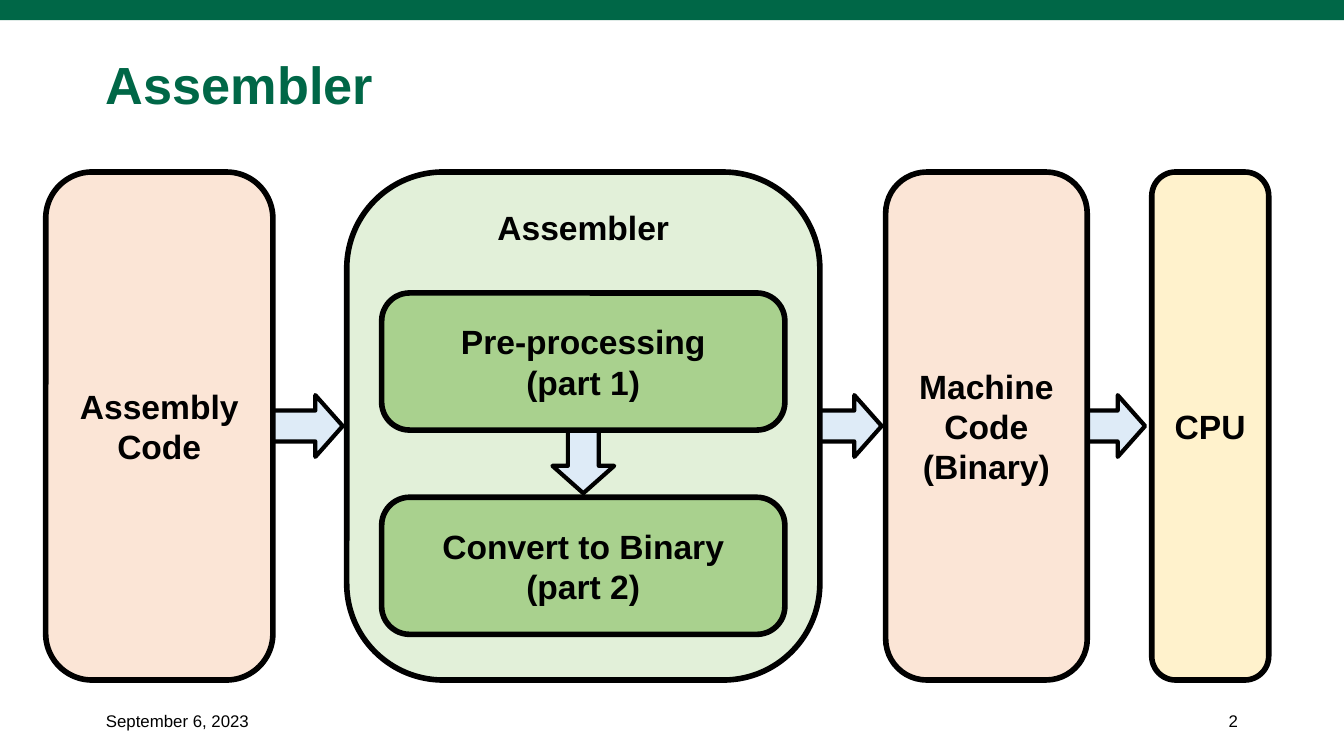
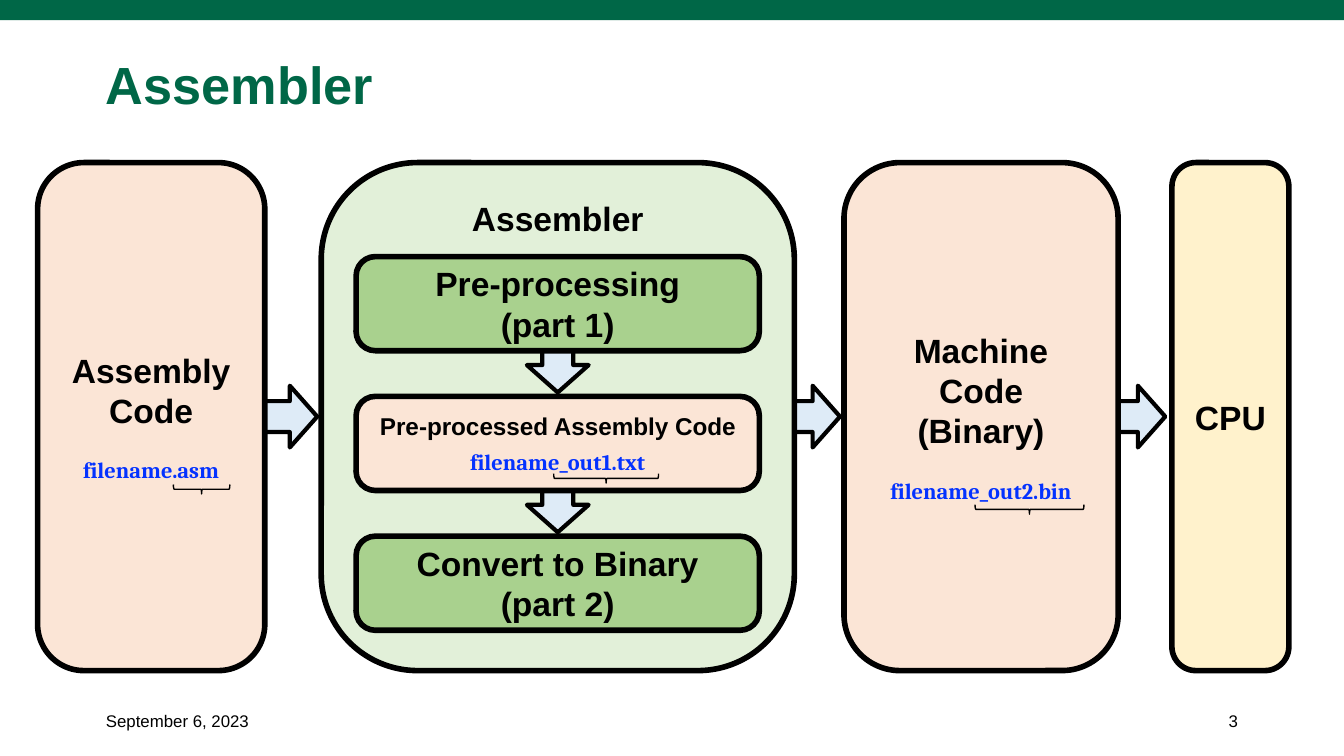
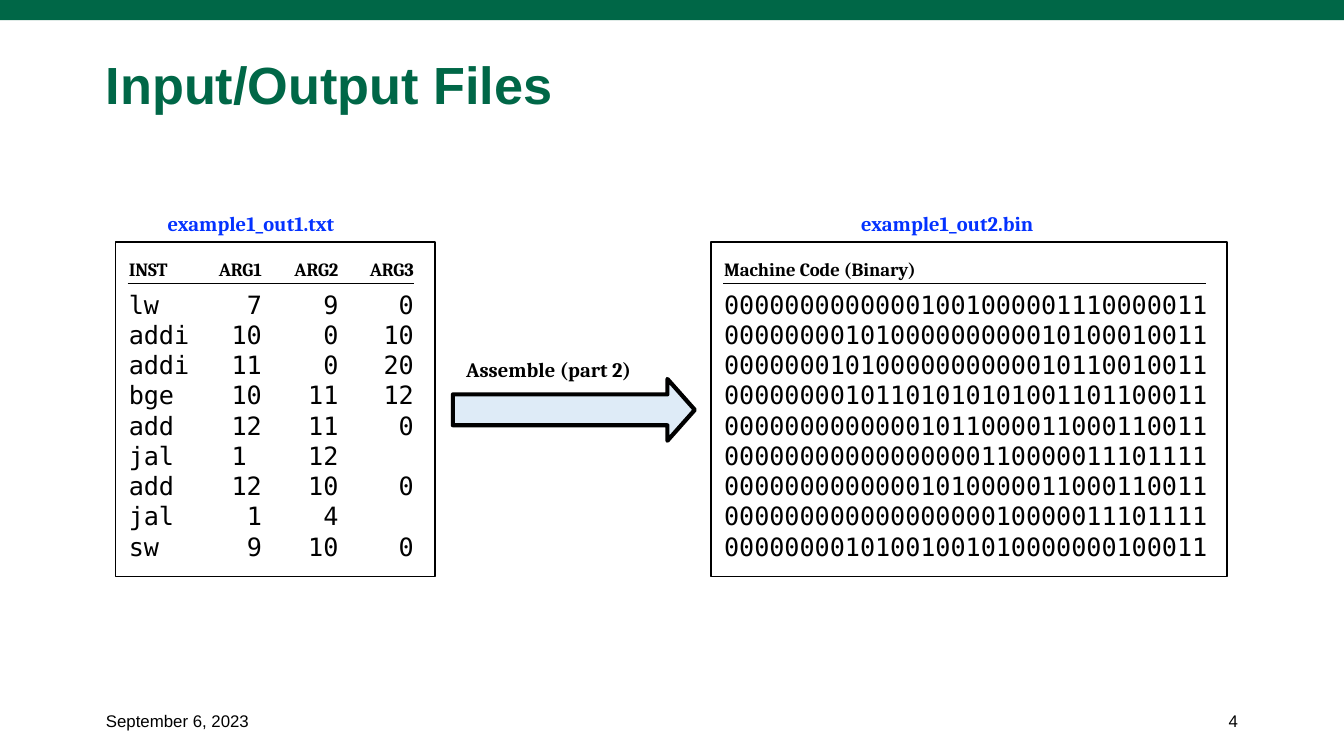
from dataclasses import dataclass
from typing import Optional

from lxml import etree
from pptx import Presentation
from pptx.dml.color import RGBColor
from pptx.enum.shapes import MSO_CONNECTOR, MSO_SHAPE
from pptx.enum.text import MSO_ANCHOR, PP_ALIGN
from pptx.oxml.ns import qn
from pptx.util import Inches, Pt

RECTANGLE = MSO_SHAPE.RECTANGLE
ROUNDED = MSO_SHAPE.ROUNDED_RECTANGLE
RIGHT_ARROW = MSO_SHAPE.RIGHT_ARROW
LEFT_BRACE = MSO_SHAPE.LEFT_BRACE
STRAIGHT = MSO_CONNECTOR.STRAIGHT
TOP, MIDDLE = MSO_ANCHOR.TOP, MSO_ANCHOR.MIDDLE
LEFT, CENTER, RIGHT = PP_ALIGN.LEFT, PP_ALIGN.CENTER, PP_ALIGN.RIGHT


@dataclass(frozen=True)
class Style:
    size: float
    font: str
    color: str = "000000"
    bold: bool = False


class Theme:
    green = "006747"
    black = "000000"
    white = "FFFFFF"
    code_fill = "FBE5D6"
    assembler_fill = "E2F0D9"
    step_fill = "A9D18E"
    cpu_fill = "FFF2CC"
    arrow_fill = "DEEBF7"
    blue = "0432FF"
    title = Style(28, "Arial", green, True)
    footer = Style(9, "Arial")
    stage = Style(18, "Arial", bold=True)
    small_stage = Style(13, "Arial", bold=True)
    file_name = Style(12, "Cambria", blue, True)
    listing_name = Style(11, "Cambria", blue, True)
    arrow_label = Style(11, "Cambria", bold=True)
    listing_header = Style(10, "Cambria", bold=True)
    listing_row = Style(13.5, "DejaVu Sans Mono")


@dataclass
class Stage:
    """A rounded box; the brace is centre x, centre y and width inside it."""
    left: float
    width: float
    fill: str
    lines: list
    file_name: str = ""
    file_gap: float = 14
    brace: Optional[tuple] = None
    style: Style = Theme.stage
    anchor: int = MIDDLE
    arrow_lead: float = 0.62


ARROW_LENGTH, ARROW_HEIGHT = 0.59, 0.46
STEP_INSET, STEP_WIDTH = 0.26, 3
COLUMN_TABS = (0.99, 1.56, 2.12)


# Shared helpers

def add_box(slide, kind, box, fill=None, line=None, weight=1):
    shape = slide.shapes.add_shape(kind, *map(Inches, box))
    shape.shadow.inherit = False
    if fill:
        shape.fill.solid()
        shape.fill.fore_color.rgb = RGBColor.from_string(fill)
    else:
        shape.fill.background()
    if line:
        shape.line.color.rgb = RGBColor.from_string(line)
        shape.line.width = Pt(weight)
    else:
        shape.line.fill.background()
    return shape


def write(shape, entries, align=LEFT, anchor=MIDDLE, tabs=()):
    """Write one paragraph per entry of text, style and space before."""
    frame = shape.text_frame
    frame.word_wrap = True
    frame.vertical_anchor = anchor
    for index, (text, style, gap) in enumerate(entries):
        paragraph = frame.add_paragraph() if index else frame.paragraphs[0]
        paragraph.text = text
        paragraph.alignment = align
        if gap:
            paragraph.space_before = Pt(gap)
        if tabs:
            properties = paragraph._p.get_or_add_pPr()
            tab_list = etree.SubElement(properties, qn("a:tabLst"))
            for position in tabs:
                etree.SubElement(tab_list, qn("a:tab"),
                                 pos=str(Inches(position)), algn="r")
        font = paragraph.font
        font.size, font.name, font.bold = Pt(style.size), style.font, style.bold
        font.color.rgb = RGBColor.from_string(style.color)
    return frame


def add_label(slide, box, text, style, align=LEFT, anchor=MIDDLE):
    label = slide.shapes.add_textbox(*map(Inches, box))
    return write(label, [(text, style, 0)], align, anchor)


def add_arrow(slide, center_x, center_y, length=ARROW_LENGTH, rotation=0):
    arrow = add_box(slide, RIGHT_ARROW,
                    (center_x - length / 2, center_y - ARROW_HEIGHT / 2,
                     length, ARROW_HEIGHT),
                    Theme.arrow_fill, Theme.black, 2.25)
    arrow.adjustments[1] = 0.443
    arrow.rotation = rotation


def add_brace(slide, center_x, center_y, width):
    depth = 0.07
    brace = add_box(slide, LEFT_BRACE,
                    (center_x - depth / 2, center_y - width / 2, depth, width),
                    line=Theme.black, weight=0.75)
    brace.rotation = 270


def add_base_slide(presentation, title, number):
    slide = presentation.slides.add_slide(presentation.slide_layouts[6])
    add_box(slide, RECTANGLE, (0, 0, 10, 0.15), Theme.green)
    heading = add_label(slide, (0.69, 0.3, 8.93, 0.7), title, Theme.title)
    heading.paragraphs[0].line_spacing = 0.9
    add_label(slide, (0.69, 5.21, 1.5, 0.3), "September 6, 2023", Theme.footer)
    add_label(slide, (7.81, 5.21, 1.5, 0.3), str(number), Theme.footer, RIGHT)
    return slide


# Assembler flow

def add_stage(slide, stage, top, height):
    shape = add_box(slide, ROUNDED, (stage.left, top, stage.width, height),
                    stage.fill, Theme.black, 3)
    shape.adjustments[0] = 0.204
    entries = [(line, stage.style, 0) for line in stage.lines]
    if stage.file_name:
        entries.append((stage.file_name, Theme.file_name, stage.file_gap))
    write(shape, entries, CENTER, stage.anchor)
    if stage.brace:
        x, y, width = stage.brace
        add_brace(slide, stage.left + x, top + y, width)


def add_steps(slide, steps, top, height, gap):
    """Stack the steps, with an arrow leading down to each but the first."""
    tops = [top + index * (height + gap) for index in range(len(steps))]
    for step, step_top in zip(steps[1:], tops[1:]):
        add_arrow(slide, step.left + step.width / 2,
                  step_top - 0.03 - ARROW_LENGTH / 2, rotation=90)
    for step, step_top in zip(steps, tops):
        add_stage(slide, step, step_top, height)


def add_flow_slide(presentation, number, top, stages, steps, steps_offset,
                   step_height, step_gap):
    slide = add_base_slide(presentation, "Assembler", number)
    height = 3.78
    for stage in stages[1:]:
        add_arrow(slide, stage.left - stage.arrow_lead + ARROW_LENGTH / 2,
                  top + height / 2)
    for stage in stages:
        add_stage(slide, stage, top, height)
    add_steps(slide, steps, top + steps_offset, step_height, step_gap)


def assembly_stage(left, **extra):
    return Stage(left, 1.69, Theme.code_fill, ["Assembly", "Code"], **extra)


def assembler_stage(left):
    return Stage(left, 3.52, Theme.assembler_fill, ["Assembler"], anchor=TOP)


def machine_stage(left, width, **extra):
    return Stage(left, width, Theme.code_fill,
                 ["Machine", "Code", "(Binary)"], **extra)


def cpu_stage(left):
    return Stage(left, 0.87, Theme.cpu_fill, ["CPU"], arrow_lead=0.64)


def assembler_steps(assembler_left):
    left = assembler_left + STEP_INSET
    return [Stage(left, STEP_WIDTH, Theme.step_fill, lines) for lines in (
        ["Pre-processing", "(part 1)"], ["Convert to Binary", "(part 2)"])]


def add_overview_slide(presentation):
    stages = [assembly_stage(0.34), assembler_stage(2.58),
              machine_stage(6.59, 1.5), cpu_stage(8.57)]
    add_flow_slide(presentation, 2, 1.28, stages, assembler_steps(2.58),
                   steps_offset=0.9, step_height=1.02, step_gap=0.5)


def add_file_names_slide(presentation):
    stages = [
        assembly_stage(0.28, file_name="filename.asm", brace=(1.22, 2.43, 0.42)),
        assembler_stage(2.39),
        machine_stage(6.28, 2.04, file_name="filename_out2.bin",
                      brace=(1.38, 2.58, 0.81)),
        cpu_stage(8.72)]
    steps = assembler_steps(2.39)
    steps.insert(1, Stage(2.39 + STEP_INSET, STEP_WIDTH, Theme.code_fill,
                          ["Pre-processed Assembly Code"], "filename_out1.txt",
                          4, (1.86, 0.61, 0.78), Theme.small_stage))
    add_flow_slide(presentation, 3, 1.21, stages, steps,
                   steps_offset=0.7, step_height=0.7, step_gap=0.34)


# Input and output files

def add_listing(slide, box, name, name_offset, header, rows, tabs=()):
    left, top, width, height = box
    frame = add_box(slide, RECTANGLE, box, Theme.white, Theme.black, 1)
    entries = [(header, Theme.listing_header, 0)]
    entries += [(row, Theme.listing_row, 0 if index else 5)
                for index, row in enumerate(rows)]
    write(frame, entries, tabs=tabs)
    # Rule below the header
    rule_y = Inches(top + 0.31)
    rule = slide.shapes.add_connector(STRAIGHT, Inches(left + 0.09), rule_y,
                                      Inches(left + width - 0.16), rule_y)
    rule.line.color.rgb = RGBColor.from_string(Theme.black)
    rule.line.width = Pt(0.5)
    etree.SubElement(rule._element.spPr, qn("a:effectLst"))
    add_label(slide, (left + name_offset, top - 0.28, 1.8, 0.29), name,
              Theme.listing_name, anchor=TOP)


def add_files_slide(presentation):
    slide = add_base_slide(presentation, "Input/Output Files", 4)
    instructions = [
        ("lw", "7", "9", "0"), ("addi", "10", "0", "10"),
        ("addi", "11", "0", "20"), ("bge", "10", "11", "12"),
        ("add", "12", "11", "0"), ("jal", "1 ", "12"),
        ("add", "12", "10", "0"), ("jal", "1", "4"), ("sw", "9", "10", "0")]
    machine_code = [
        "00000000000001001000001110000011",
        "00000000101000000000010100010011",
        "00000001010000000000010110010011",
        "00000000101101010101001101100011",
        "00000000000001011000011000110011",
        "00000000000000000110000011101111",
        "00000000000001010000011000110011",
        "00000000000000000010000011101111",
        "00000000101001001010000000100011"]
    add_listing(slide, (0.86, 1.8, 2.38, 2.49), "example1_out1.txt", 0.29,
                "INST\tARG1\tARG2\tARG3",
                ["\t".join(fields) for fields in instructions], COLUMN_TABS)
    add_listing(slide, (5.29, 1.8, 3.84, 2.49), "example1_out2.bin", 1.02,
                "Machine Code (Binary)", machine_code)
    # Step between the two files
    add_arrow(slide, 4.27, 3.05, length=1.8)
    add_label(slide, (3.37, 2.61, 1.8, 0.29), "Assemble (part 2)",
              Theme.arrow_label, anchor=TOP)


def main():
    presentation = Presentation()
    # Widescreen, 16 to 9
    presentation.slide_width = Inches(10)
    presentation.slide_height = Inches(10) * 9 // 16
    add_overview_slide(presentation)
    add_file_names_slide(presentation)
    add_files_slide(presentation)
    presentation.save("out.pptx")


if __name__ == "__main__":
    main()
